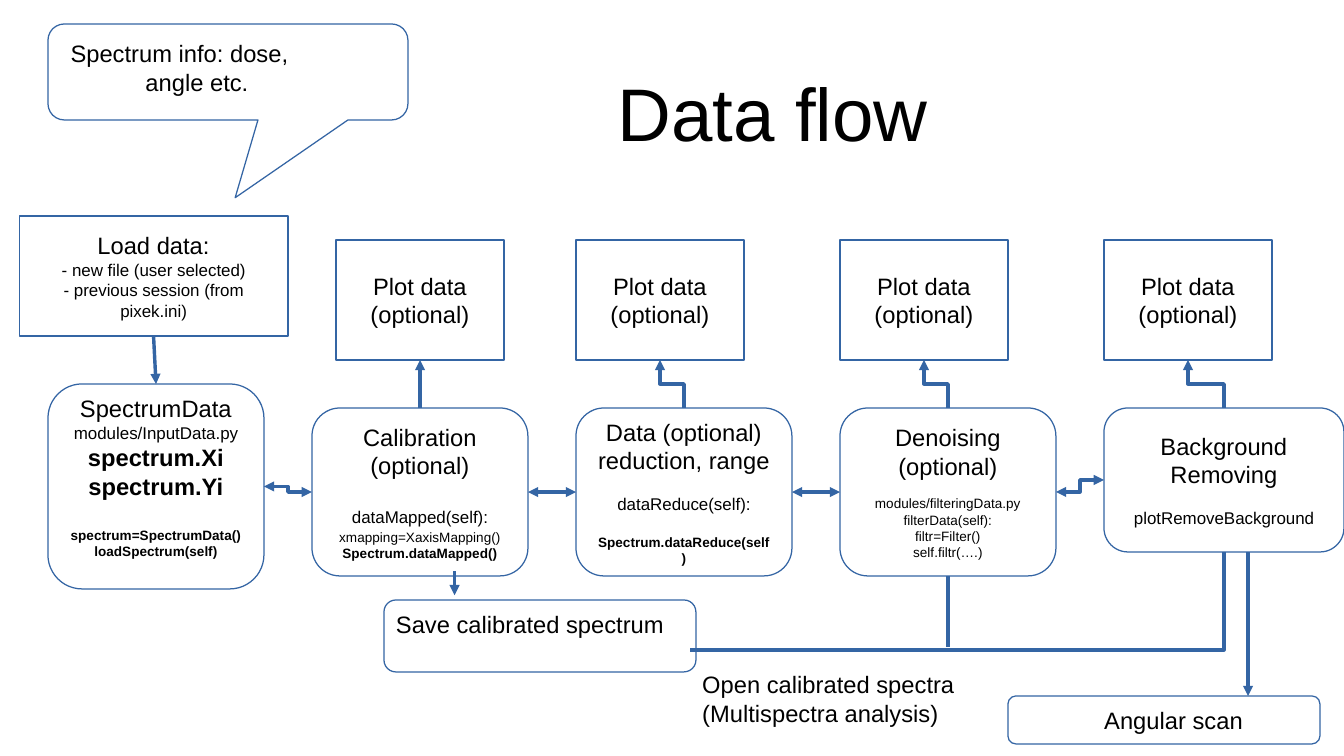
from lxml.etree import SubElement
from pptx import Presentation
from pptx.dml.color import RGBColor
from pptx.enum.shapes import MSO_CONNECTOR, MSO_SHAPE
from pptx.enum.text import MSO_ANCHOR, PP_ALIGN
from pptx.oxml.ns import qn
from pptx.util import Cm, Pt

BLACK = RGBColor(0x00, 0x00, 0x00)
BLUE = RGBColor(0x34, 0x65, 0xA4)
FONT = "Arial"
TOP, LEFT, BOTTOM, RIGHT = range(4)
STEP_LEFT, STEP_PITCH, STEP_TOP, STEP_WIDTH = 1, 5.5, 8.5, 4.5
PLOT_TOP, PLOT_WIDTH, PLOT_HEIGHT = 5, 3.5, 2.5

# Each line: text, size, bold, space before
STEPS = [
    (8, 4.5, 4.27, 0.53, [
        ("SpectrumData", 14, False, 0),
        ("modules/InputData.py", 10, False, 0),
        ("spectrum.Xi", 14, True, 0),
        ("spectrum.Yi", 14, True, 0),
        ("spectrum=SpectrumData()", 8, True, 16),
        ("loadSpectrum(self)", 8, True, 0),
    ]),
    (STEP_TOP, STEP_WIDTH, 3.5, 0.13, [
        ("Calibration", 14, False, 0),
        ("(optional)", 14, False, 0),
        ("dataMapped(self):", 10, False, 16),
        ("xmapping=XaxisMapping()", 8, False, 1),
        ("Spectrum.dataMapped()", 8, True, 0),
    ]),
    (STEP_TOP, STEP_WIDTH, 3.5, 0.13, [
        ("Data (optional) reduction, range", 14, False, 0),
        ("dataReduce(self):", 10, False, 11.5),
        ("Spectrum.dataReduce(self)", 8, True, 11.5),
    ]),
    (STEP_TOP, STEP_WIDTH, 3.5, 0.13, [
        ("Denoising", 14, False, 0),
        ("(optional)", 14, False, 0),
        ("modules/filteringData.py", 8, False, 9),
        ("filterData(self):", 8, False, 0),
        ("filtr=Filter()", 8, False, 0),
        ("self.filtr(….)", 8, False, 0),
    ]),
    (STEP_TOP, 5, 3, 0.13, [
        ("Background", 14, False, 0),
        ("Removing", 14, False, 0),
        ("plotRemoveBackground", 10, False, 11.5),
    ]),
]


def write(shape, lines, align=PP_ALIGN.CENTER, anchor=MSO_ANCHOR.MIDDLE):
    frame = shape.text_frame
    frame.word_wrap = True
    frame.vertical_anchor = anchor
    for index, (text, size, bold, gap) in enumerate(lines):
        para = frame.paragraphs[0] if index == 0 else frame.add_paragraph()
        para.alignment = align
        if gap:
            para.space_before = Pt(gap)
        span = para.add_run()
        span.text = text
        span.font.name = FONT
        span.font.size = Pt(size)
        span.font.bold = bold
        span.font.color.rgb = BLACK


def outline(page, kind, box):
    shape = page.shapes.add_shape(kind, *map(Cm, box))
    shape.shadow.inherit = False
    shape.fill.background()
    shape.line.color.rgb = BLUE
    shape.line.width = Pt(0)
    return shape


def label(page, box, lines, align=PP_ALIGN.LEFT, anchor=MSO_ANCHOR.TOP):
    caption = page.shapes.add_textbox(*map(Cm, box))
    write(caption, lines, align, anchor)
    return caption


def connect(page, begin, end, kind=MSO_CONNECTOR.STRAIGHT, arrows=("tailEnd",)):
    connector = page.shapes.add_connector(kind, *map(Cm, begin + end))
    connector.line.color.rgb = BLUE
    connector.line.width = Pt(0)
    for arrow in arrows:
        SubElement(connector.get_or_add_ln(), qn("a:" + arrow)).set("type", "triangle")
    SubElement(connector._element.spPr, qn("a:effectLst"))
    return connector


def join(page, first, first_side, second, second_side, arrows=("tailEnd",)):
    connector = connect(page, (0, 0), (1, 1), arrows=arrows)
    connector.begin_connect(first, first_side)
    connector.end_connect(second, second_side)


def title(page, box):
    heading = label(page, box, [("Data flow", 44, False, 0)],
                    PP_ALIGN.CENTER, MSO_ANCHOR.MIDDLE)
    frame = heading.text_frame
    frame.margin_left = frame.margin_right = frame.margin_top = frame.margin_bottom = 0


def spectrum_info(page, box):
    left, top, width, height = box
    callout = outline(page, MSO_SHAPE.ROUNDED_RECTANGULAR_CALLOUT, box)
    for index, value in enumerate((0.02, 1.31, 0.17)):
        callout.adjustments[index] = value
    caption = label(page, (left + 0.22, top + 0.19, 5.77, 1.37),
                    [("Spectrum info: dose,", 14, False, 0), ("angle etc.", 14, False, 0)])
    caption.text_frame.paragraphs[1].alignment = PP_ALIGN.CENTER


def load_data(page, box):
    load = outline(page, MSO_SHAPE.FLOWCHART_PROCESS, box)
    write(load, [("Load data:", 14, False, 0),
                 ("- new file (user selected)", 10, False, 0),
                 ("- previous session (from pixek.ini)", 10, False, 0)])
    return load


def step(page, box, bottom_margin, lines):
    shape = outline(page, MSO_SHAPE.FLOWCHART_ALTERNATE_PROCESS, box)
    write(shape, lines)
    shape.text_frame.margin_bottom = Cm(bottom_margin)
    return shape


def plot(page, box, source, source_box):
    left, top, width, height = box
    shape = outline(page, MSO_SHAPE.FLOWCHART_PROCESS, box)
    write(shape, [("Plot data (optional)", 14, False, 0)])
    plot_center = left + width / 2
    source_center = source_box[0] + source_box[2] / 2
    if plot_center == source_center:
        join(page, source, TOP, shape, BOTTOM)
        return
    center_x = (plot_center + source_center) / 2
    center_y = (source_box[1] + top + height) / 2
    half_rise = (source_box[1] - top - height) / 2
    half_shift = (source_center - plot_center) / 2
    elbow = connect(page, (center_x - half_rise, center_y + half_shift),
                    (center_x + half_rise, center_y - half_shift), MSO_CONNECTOR.ELBOW)
    elbow._element.spPr.find(qn("a:xfrm")).set("rot", str(270 * 60000))


def link_steps(page, first, first_box, second, second_box):
    begin = (first_box[0] + first_box[2], first_box[1] + first_box[3] / 2)
    end = (second_box[0], second_box[1] + second_box[3] / 2)
    arrows = ("headEnd", "tailEnd")
    if begin[1] == end[1]:
        join(page, first, RIGHT, second, LEFT, arrows)
    else:
        connect(page, begin, end, MSO_CONNECTOR.ELBOW, arrows)


def pipeline(page, box):
    left, top, width, height = box
    load = load_data(page, (left - 0.6, top, 5.6, 2.5))
    shapes, boxes = [], []
    for index, (step_top, step_width, step_height, margin, lines) in enumerate(STEPS):
        step_box = (left + index * STEP_PITCH, step_top, step_width, step_height)
        shapes.append(step(page, step_box, margin, lines))
        boxes.append(step_box)
    join(page, load, BOTTOM, shapes[0], TOP)
    for index in range(1, len(STEPS)):
        link_steps(page, shapes[index - 1], boxes[index - 1], shapes[index], boxes[index])
        plot_left = boxes[index][0] + (0.5 if index == 1 else 0)
        plot(page, (plot_left, PLOT_TOP, PLOT_WIDTH, PLOT_HEIGHT), shapes[index], boxes[index])
    return shapes


def results(page, box, denoising):
    left, top, width, height = box
    outline(page, MSO_SHAPE.ROUNDED_RECTANGLE, (left, top, 6.5, 1.5))
    label(page, (left, top + 0.07, 6.38, 1.9), [("Save calibrated spectrum", 14, False, 0)])
    label(page, (left + 6.38, top + 1.34, 6.38, 1.9),
          [("Open calibrated spectra (Multispectra analysis)", 14, False, 0)])
    outline(page, MSO_SHAPE.ROUNDED_RECTANGLE, (left + 13, top + 2, 6.5, 1))
    label(page, (left + 13.4, top + 2.07, 6.1, 0.82),
          [("Angular scan", 14, False, 0)], PP_ALIGN.CENTER)
    connect(page, (left + 1.47, top - 0.6), (left + 1.47, top - 0.1))
    connect(page, (left + 18, top - 1), (left + 18, top + 2))
    corner = connect(page, (left + 6.38, top + 1.04), (left + 17.5, top - 1),
                     MSO_CONNECTOR.ELBOW, ())
    corner._element.spPr.find(qn("a:prstGeom")).set("prst", "bentConnector2")
    branch = connect(page, (left + 11.75, top - 0.5), (left + 11.75, top + 0.98), arrows=())
    branch.begin_connect(denoising, BOTTOM)


def main():
    deck = Presentation()
    deck.slide_width, deck.slide_height = Cm(28), Cm(15.75)
    page = deck.slides.add_slide(deck.slide_layouts[6])
    title(page, (3.5, 1, 25.2, 2.64))
    spectrum_info(page, (1, 0.5, 7.5, 2))
    shapes = pipeline(page, (STEP_LEFT, 4.5, 27, 7.77))
    results(page, (8, 12.5, 19.5, 3), shapes[3])
    deck.save("out.pptx")


if __name__ == "__main__":
    main()
